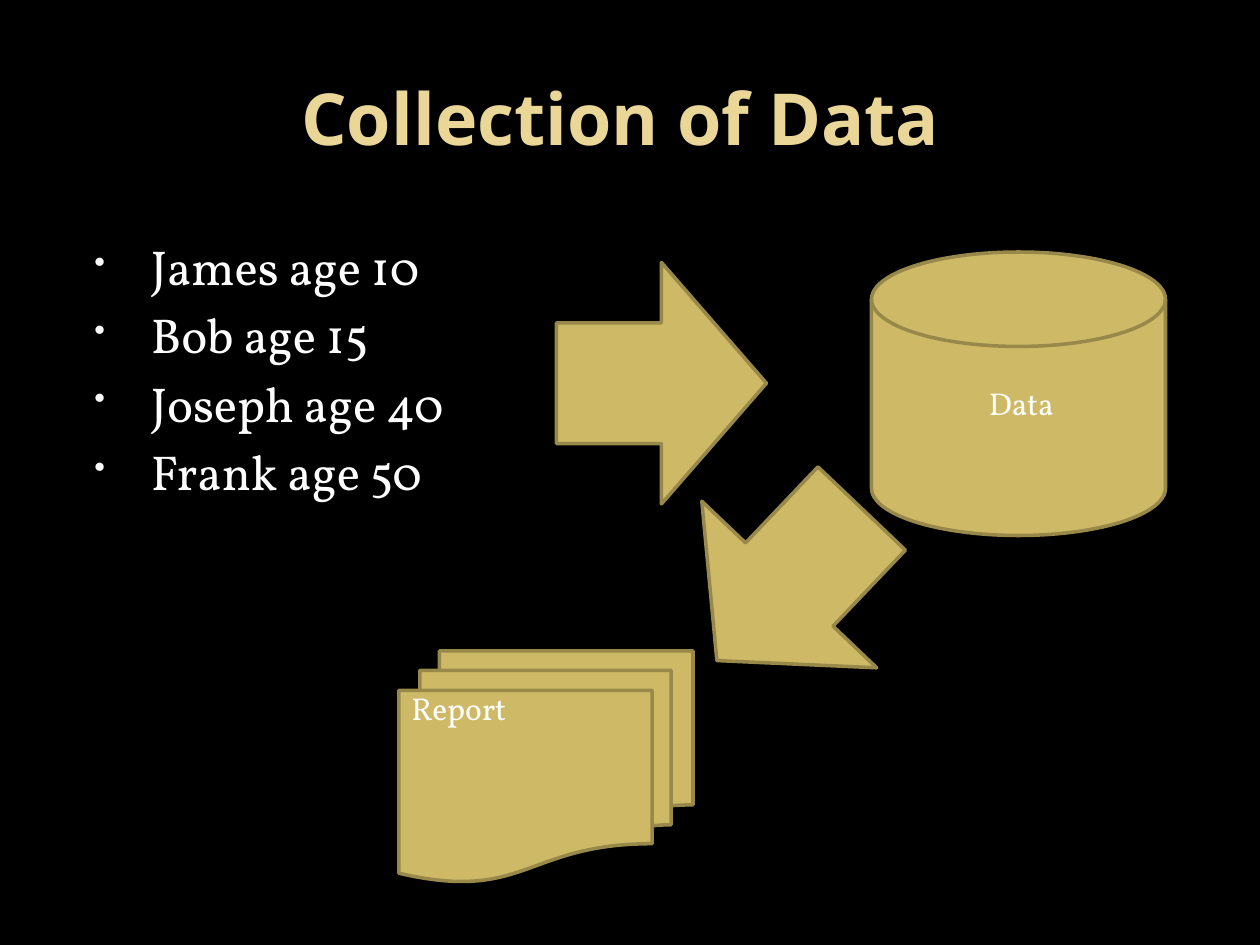
from lxml.etree import SubElement
from pptx import Presentation
from pptx.dml.color import RGBColor
from pptx.enum.shapes import MSO_SHAPE
from pptx.enum.text import MSO_ANCHOR, PP_ALIGN
from pptx.oxml.ns import qn
from pptx.util import Pt

TITLE = "Collection of Data "
PEOPLE = ["James age 10", "Bob age 15", "Joseph age 40", "Frank age 50"]
FLOW = [
    (MSO_SHAPE.RIGHT_ARROW, (318, 150, 120, 138), 0),
    (MSO_SHAPE.FLOWCHART_MAGNETIC_DISK, (498, 144, 168, 162), 0),
    (MSO_SHAPE.RIGHT_ARROW, (391, 265, 120, 138), 133.6),
    (MSO_SHAPE.FLOWCHART_MULTIDOCUMENT, (228, 372, 168, 132), 0),
]
LABELS = [("Data", (558, 216, 60, 29)), ("Report", (228, 390, 96, 29))]


def color(value):
    return RGBColor.from_string(value)


def add_bullet(para):
    properties = para._p.get_or_add_pPr()
    properties.set("marL", str(Pt(43.2)))
    properties.set("indent", str(Pt(-32.4)))
    bullet_color = SubElement(properties, qn("a:buClr"))
    SubElement(bullet_color, qn("a:srgbClr"), val="F9F9F9")
    SubElement(properties, qn("a:buSzPct"), val="65000")
    SubElement(properties, qn("a:buChar"), char="•")


def add_text(slide, lines, place, size=18, font="Vollkorn", ink="FFFFFF", bold=False,
             align=PP_ALIGN.LEFT, anchor=MSO_ANCHOR.TOP, bullet=False, pitch=None):
    box = slide.shapes.add_textbox(*map(Pt, place))
    frame = box.text_frame
    frame.word_wrap = True
    frame.vertical_anchor = anchor
    for index, line in enumerate(lines):
        para = frame.add_paragraph() if index else frame.paragraphs[0]
        para.alignment = align
        if pitch:
            para.line_spacing = Pt(pitch)
        if bullet:
            add_bullet(para)
        span = para.add_run()
        span.text = line
        span.font.size = Pt(size)
        span.font.name = font
        span.font.bold = bold
        span.font.color.rgb = color(ink)


def add_flow_shape(slide, kind, place, rotation):
    shape = slide.shapes.add_shape(kind, *map(Pt, place))
    shape.rotation = rotation
    shape.shadow.inherit = False
    shape.fill.solid()
    shape.fill.fore_color.rgb = color("CEB966")
    shape.line.color.rgb = color("98894B")
    shape.line.width = Pt(2)


def main():
    deck = Presentation()
    deck.slide_width, deck.slide_height = Pt(720), Pt(540)
    page = deck.slides.add_slide(deck.slide_layouts[6])
    page.background.fill.solid()
    page.background.fill.fore_color.rgb = color("000000")
    add_text(page, [TITLE], (36, 21.6, 648, 90), size=41, font="Noto Sans", ink="EAD696",
             bold=True, align=PP_ALIGN.CENTER, anchor=MSO_ANCHOR.MIDDLE)
    add_text(page, PEOPLE, (36, 126, 282, 371), size=28, bullet=True, pitch=39.1)
    for kind, place, rotation in FLOW:
        add_flow_shape(page, kind, place, rotation)
    for label, place in LABELS:
        add_text(page, [label], place)
    deck.save("out.pptx")


if __name__ == "__main__":
    main()
